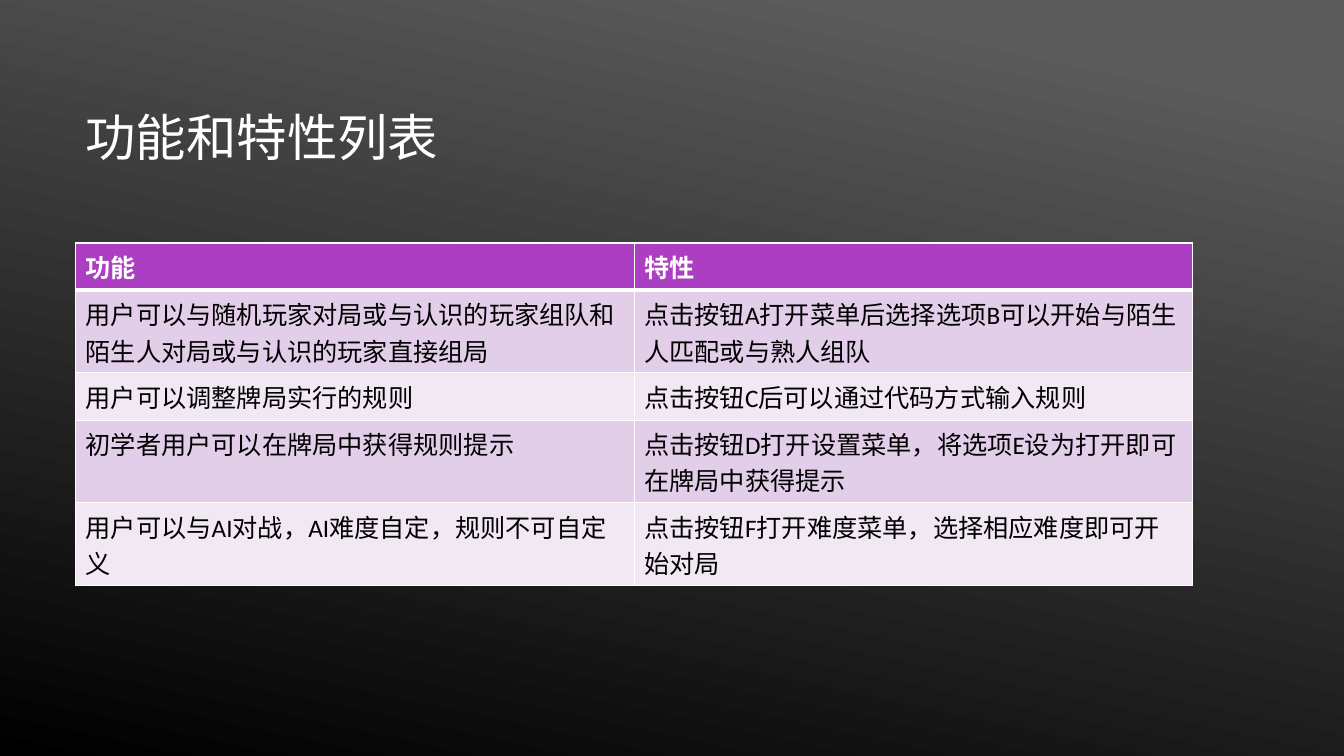
from lxml import etree
from pptx import Presentation
from pptx.dml.color import RGBColor
from pptx.enum.text import MSO_ANCHOR
from pptx.oxml.ns import qn
from pptx.util import Inches, Pt

MIDDLE = MSO_ANCHOR.MIDDLE
FONT = "Calibri"
WHITE = RGBColor(0xFF, 0xFF, 0xFF)
BLACK = RGBColor(0x00, 0x00, 0x00)
GRAY = RGBColor(0x5B, 0x5B, 0x5B)
PURPLE = RGBColor(0xAC, 0x3E, 0xC1)
LILAC = RGBColor(0xE3, 0xCE, 0xE9)
PALE_LILAC = RGBColor(0xF1, 0xE8, 0xF4)

TITLE = "功能和特性列表"
FEATURES = [
    ("功能", "特性"),
    ("用户可以与随机玩家对局或与认识的玩家组队和陌生人对局或与认识的玩家直接组局",
     "点击按钮A打开菜单后选择选项B可以开始与陌生人匹配或与熟人组队"),
    ("用户可以调整牌局实行的规则", "点击按钮C后可以通过代码方式输入规则"),
    ("初学者用户可以在牌局中获得规则提示",
     "点击按钮D打开设置菜单，将选项E设为打开即可在牌局中获得提示"),
    ("用户可以与AI对战，AI难度自定，规则不可自定义",
     "点击按钮F打开难度菜单，选择相应难度即可开始对局"),
]
COLUMN_WIDTH = 5.54
ONE_LINE, TWO_LINES = 0.47, 0.82
ROW_HEIGHTS = [ONE_LINE, TWO_LINES, ONE_LINE, TWO_LINES, TWO_LINES]


def set_background(slide):
    fill = slide.background.fill
    fill.gradient()
    fill.gradient_angle = 258
    for stop, (position, color) in zip(fill.gradient_stops, [(0.1, GRAY), (1, BLACK)]):
        stop.position = position
        stop.color.rgb = color


def format_text(text_frame, size, color, bold=False):
    for paragraph in text_frame.paragraphs:
        for run in paragraph.runs:
            run.font.name = FONT
            run.font.size = Pt(size)
            run.font.bold = bold
            run.font.color.rgb = color


def add_title(slide, text):
    shape = slide.shapes.add_textbox(Inches(0.75), Inches(0.53), Inches(9.33), Inches(1.65))
    text_frame = shape.text_frame
    text_frame.word_wrap = True
    text_frame.vertical_anchor = MIDDLE
    text_frame.text = text
    format_text(text_frame, 36, WHITE)


def set_borders(cell, widths):
    properties = cell._tc.get_or_add_tcPr()
    for side, width in widths.items():
        line = etree.SubElement(properties, qn(f"a:ln{side}"), w=str(Pt(width)))
        solid = etree.SubElement(line, qn("a:solidFill"))
        etree.SubElement(solid, qn("a:srgbClr"), val=str(WHITE))


def format_cell(cell, text, row_index):
    is_header = row_index == 0
    cell.text = text
    format_text(cell.text_frame, 18, WHITE if is_header else BLACK, is_header)
    # The header is set off from the body by a thicker line
    top = 3 if row_index == 1 else 1
    bottom = 3 if is_header else 1
    set_borders(cell, {"L": 1, "R": 1, "T": top, "B": bottom})
    cell.fill.solid()
    band = LILAC if row_index % 2 else PALE_LILAC
    cell.fill.fore_color.rgb = PURPLE if is_header else band


def add_feature_table(slide, rows):
    row_count, column_count = len(rows), len(rows[0])
    table = slide.shapes.add_table(
        row_count, column_count, Inches(0.75), Inches(2.41),
        Inches(COLUMN_WIDTH * column_count), Inches(sum(ROW_HEIGHTS))).table
    for row_index, (texts, height) in enumerate(zip(rows, ROW_HEIGHTS)):
        table.rows[row_index].height = Inches(height)
        for column_index, text in enumerate(texts):
            format_cell(table.cell(row_index, column_index), text, row_index)


def main():
    presentation = Presentation()
    presentation.slide_width = Inches(13.33)
    presentation.slide_height = Inches(7.5)
    slide = presentation.slides.add_slide(presentation.slide_layouts[6])

    # Backdrop and heading
    set_background(slide)
    add_title(slide, TITLE)

    # Functions and their features
    add_feature_table(slide, FEATURES)

    presentation.save("out.pptx")


if __name__ == "__main__":
    main()
